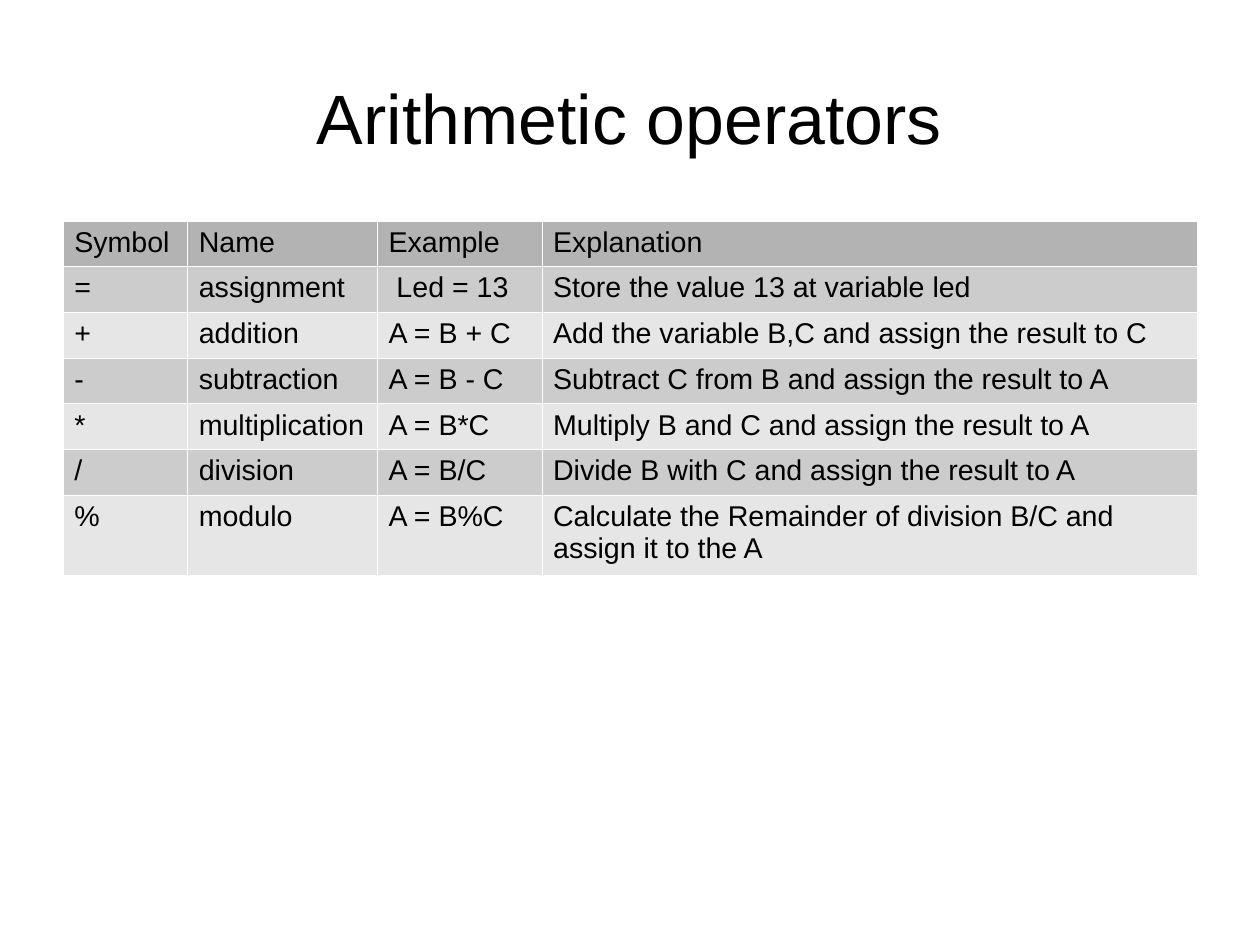
from pptx import Presentation
from pptx.dml.color import RGBColor as Color
from pptx.enum.text import MSO_ANCHOR as Anchor, PP_ALIGN as Align
from pptx.oxml.ns import qn
from pptx.util import Inches, Pt
from lxml.etree import SubElement as Sub

BLACK = Color(0, 0, 0)
WHITE = Color(255, 255, 255)
HEAD = Color(0xB3, 0xB3, 0xB3)
BANDS = Color(0xE6, 0xE6, 0xE6), Color(0xCC, 0xCC, 0xCC)

CM = 1 / 2.54
LEFT, WIDTH = 0.55, 9.92
COLS = 1.09, 1.66, 1.44, 5.73
ROWS = [0.4] * 6 + [0.7]
CELLS = [
    ("Symbol", "Name", "Example", "Explanation"),
    ("=", "assignment", " Led = 13", "Store the value 13 at variable led"),
    ("+", "addition", "A = B + C",
     "Add the variable B,C and assign the result to C"),
    ("-", "subtraction", "A = B - C",
     "Subtract C from B and assign the result to A"),
    ("*", "multiplication", "A = B*C",
     "Multiply B and C and assign the result to A"),
    ("/", "division", "A = B/C",
     "Divide B with C and assign the result to A"),
    ("%", "modulo", "A = B%C",
     "Calculate the Remainder of division B/C and assign it to the A"),
]


class Page:
    face = "Arial"

    def __init__(self, deck):
        self.slide = deck.slides.add_slide(deck.slide_layouts[5])

    def style(self, frame, size):
        for para in frame.paragraphs:
            for run in para.runs:
                run.font.name = self.face
                run.font.size = Pt(size)
                run.font.bold = False
                run.font.color.rgb = BLACK

    def title(self, text, left, top, width, height):
        box = self.slide.shapes.title
        box.left, box.top = Inches(left), Inches(top)
        box.width, box.height = Inches(width), Inches(height)
        frame = box.text_frame
        frame.text = text
        frame.word_wrap = True
        frame.vertical_anchor = Anchor.MIDDLE
        frame.margin_left = frame.margin_right = 0
        frame.margin_top = frame.margin_bottom = 0
        frame.paragraphs[0].alignment = Align.CENTER
        self.style(frame, 44)

    def border(self, cell):
        props = cell._tc.get_or_add_tcPr()
        for side in "LRTB":
            line = Sub(props, qn(f"a:ln{side}"), w=str(Pt(0.06)))
            fill = Sub(line, qn("a:solidFill"))
            Sub(fill, qn("a:srgbClr"), val=str(WHITE))

    def table(self, cells, left, top, cols, rows):
        grid = self.slide.shapes.add_table(
            len(rows), len(cols), Inches(left), Inches(top),
            Inches(sum(cols)), Inches(sum(rows))).table
        for col, width in zip(grid.columns, cols):
            col.width = Inches(width)
        for num, (row, height) in enumerate(zip(grid.rows, rows)):
            row.height = Inches(height)
            for cell, text in zip(row.cells, cells[num]):
                cell.text_frame.text = text
                cell.margin_left = cell.margin_right = Inches(0.1)
                cell.margin_top = cell.margin_bottom = Inches(0.05)
                self.style(cell.text_frame, 18)
                self.border(cell)
                cell.fill.solid()
                cell.fill.fore_color.rgb = BANDS[num % 2] if num else HEAD


def main():
    deck = Presentation()
    deck.slide_width, deck.slide_height = Inches(28 * CM), Inches(21 * CM)
    page = Page(deck)
    page.title("Arithmetic operators", LEFT, 0.33, WIDTH, 1.38)
    page.table(CELLS, LEFT, 1.93, COLS, ROWS)
    deck.save("out.pptx")


if __name__ == "__main__":
    main()
